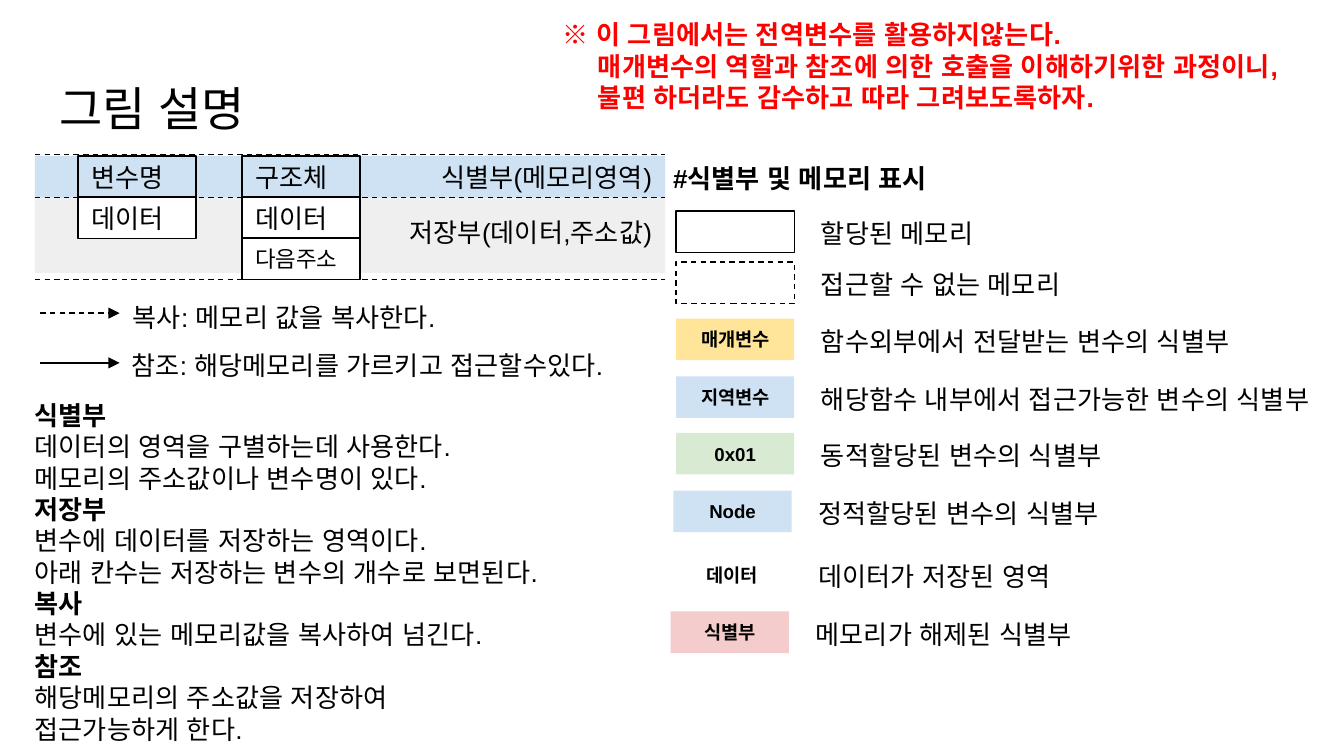
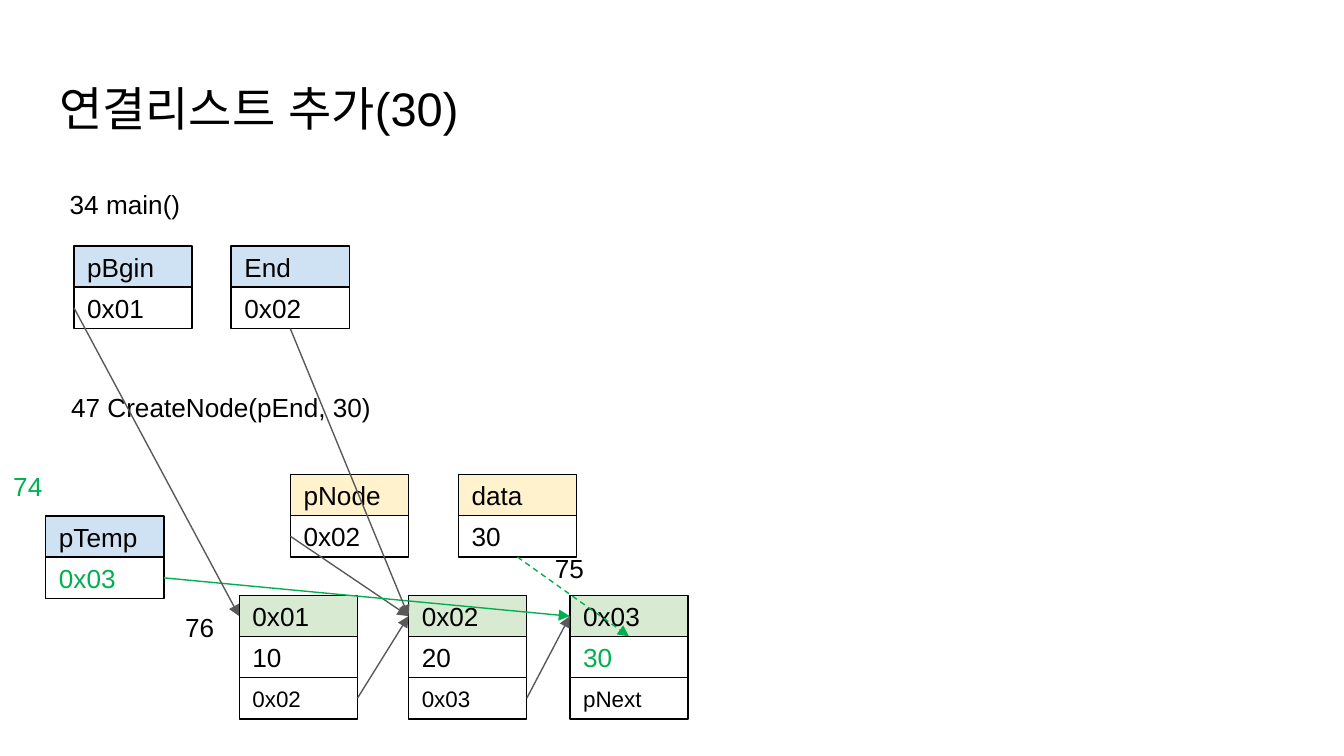
from copy import deepcopy

from lxml import etree
from pptx import Presentation
from pptx.dml.color import RGBColor
from pptx.enum import dml, shapes, text
from pptx.oxml import ns
from pptx.util import Inches, Pt

BLACK = RGBColor(0x00, 0x00, 0x00)
WHITE = RGBColor(0xFF, 0xFF, 0xFF)
RED = RGBColor(0xFF, 0x00, 0x00)
GREEN = RGBColor(0x00, 0xB0, 0x50)
GREY = RGBColor(0x59, 0x59, 0x59)
STORE_GREY = RGBColor(0xEF, 0xEF, 0xEF)
LOCAL_BLUE = RGBColor(0xCF, 0xE2, 0xF3)
PARAM_YELLOW = RGBColor(0xFF, 0xE5, 0x99)
ARG_YELLOW = RGBColor(0xFF, 0xF2, 0xCC)
HEAP_GREEN = RGBColor(0xD9, 0xEA, 0xD3)
FREED_PINK = RGBColor(0xF4, 0xCC, 0xCC)

FONT = "Arial"
CELL_W, CELL_H = 0.88, 0.31
CELL_PITCH = 0.61 / 2
TOP, LEFT, BOTTOM, RIGHT = range(4)
FRAME_FORMAT = {
    "word_wrap": True, "auto_size": text.MSO_AUTO_SIZE.NONE,
    "margin_left": Inches(0.1), "margin_right": Inches(0.1),
    "margin_top": Inches(0.1), "margin_bottom": Inches(0.1),
}


# Shared parts
def apply(target, values):
    for name, value in values.items():
        setattr(target, name, value)


def write(frame, paragraphs, size=14, color=BLACK, bold=False,
          align=text.PP_ALIGN.LEFT, anchor=text.MSO_ANCHOR.TOP):
    """Fill a frame; a paragraph is a string or a (string, bold) pair."""
    apply(frame, {**FRAME_FORMAT, "vertical_anchor": anchor})
    for i, item in enumerate(paragraphs):
        words, strong = item if isinstance(item, tuple) else (item, bold)
        para = frame.paragraphs[0] if i == 0 else frame.add_paragraph()
        para.text = words
        para.alignment = align
        for run in para.runs:
            apply(run.font, {"name": FONT, "size": Pt(size), "bold": strong})
            run.font.color.rgb = color
            etree.SubElement(run.font._element, ns.qn("a:ea"), typeface=FONT)
        for line_break in para._p.findall(ns.qn("a:br")):
            line_break.append(deepcopy(para.runs[0].font._element))


def add_label(slide, left, top, width, height, *paragraphs, **style):
    box = slide.shapes.add_textbox(*map(Inches, (left, top, width, height)))
    write(box.text_frame, paragraphs, **style)
    return box


def set_line(line, color, dashed=False):
    line.color.rgb = color
    line.width = Pt(0.75)
    if dashed:
        line.dash_style = dml.MSO_LINE.DASH


def add_rect(slide, left, top, width, height, fill=None, words=None,
             outline=None, dashed=False, **style):
    rect = slide.shapes.add_shape(shapes.MSO_SHAPE.RECTANGLE,
                                  *map(Inches, (left, top, width, height)))
    rect.shadow.inherit = False
    if fill is None:
        rect.fill.background()
    else:
        rect.fill.solid()
        rect.fill.fore_color.rgb = fill
    if outline is None:
        rect.line.fill.background()
    else:
        set_line(rect.line, outline, dashed)
    if words:
        write(rect.text_frame, [words], anchor=text.MSO_ANCHOR.MIDDLE, **style)
    return rect


def add_line(slide, start=(0, 0), end=(0, 0), color=BLACK, dashed=False, arrow=False):
    line = slide.shapes.add_connector(shapes.MSO_CONNECTOR.STRAIGHT,
                                      *map(Inches, (*start, *end)))
    set_line(line.line, color, dashed)
    if arrow:
        etree.SubElement(line.line._get_or_add_ln(), ns.qn("a:tailEnd"), type="triangle")
    etree.SubElement(line._element.spPr, ns.qn("a:effectLst"))
    return line


def add_stack(slide, left, top, head_fill, *cells, value_color=BLACK):
    """Identifier cell, value cell and, for a node, a next-address cell."""
    formats = [(head_fill, BLACK, 14), (WHITE, value_color, 14), (WHITE, BLACK, 12)]
    return [add_rect(slide, left, top + i * CELL_PITCH, CELL_W, CELL_H, fill, words,
                     outline=BLACK, color=color, size=size)
            for i, (words, (fill, color, size)) in enumerate(zip(cells, formats))]


def add_titled_slide(prs, words, width):
    slide = prs.slides.add_slide(prs.slide_layouts[5])
    title = slide.shapes.title
    apply(title, {"left": Inches(0.34), "top": Inches(0.49),
                  "width": Inches(width), "height": Inches(0.63)})
    write(title.text_frame, [words], size=25.2)
    return slide


# Slide 1: how to read the diagrams
def draw_memory_model(slide, left, top, width):
    right_text = {"align": text.PP_ALIGN.RIGHT}
    add_rect(slide, left, top + 0.27, width, 0.61, STORE_GREY,
             "저장부(데이터,주소값)", **right_text)
    add_rect(slide, left, top + 0.01, width, CELL_H, LOCAL_BLUE,
             "식별부(메모리영역)", **right_text)
    add_stack(slide, left + 0.32, top + 0.01, LOCAL_BLUE, "변수명", "데이터")
    add_stack(slide, left + 1.54, top + 0.01, LOCAL_BLUE, "구조체", "데이터", "다음주소")
    for offset in (0, 0.32, 0.93):
        add_line(slide, (left, top + offset), (left + width, top + offset), dashed=True)


def draw_arrow_key(slide, left, top):
    # meaning, dashed arrow, label offset and size
    rows = [("복사: 메모리 값을 복사한다.", True, 0.59, -0.19, 2.76, 0.22),
            ("참조: 해당메모리를 가르키고 접근할수있다.", False, 0.58, -0.2, 4.03, 0.4)]
    for i, (meaning, dashed, dx, dy, width, height) in enumerate(rows):
        y = top + i * 0.37
        add_line(slide, (left, y), (left + 0.59, y), dashed=dashed, arrow=True)
        add_label(slide, left + dx, y + dy, width, height, meaning)


def draw_glossary(slide, left, top):
    add_label(slide, left, top, 4.47, 2.67,
              ("식별부", True),
              "데이터의 영역을 구별하는데 사용한다.\v메모리의 주소값이나 변수명이 있다.",
              ("저장부", True),
              "변수에 데이터를 저장하는 영역이다.",
              "아래 칸수는 저장하는 변수의 개수로 보면된다.",
              ("복사", True),
              "변수에 있는 메모리값을 복사하여 넘긴다.",
              ("참조", True),
              "해당메모리의 주소값을 저장하여 \v접근가능하게 한다.")


def draw_memory_key(slide, left, top):
    add_label(slide, left - 0.12, top - 0.46, 4.89, 0.44, "#식별부 및 메모리 표시", bold=True)
    # x offset, y offset, swatch text, swatch format, label width, meaning
    rows = [
        (0, 0, None, {"outline": BLACK}, 3.35, "할당된 메모리"),
        (0, 0.38, None, {"outline": BLACK, "dashed": True}, 3.35, "접근할 수 없는 메모리"),
        (0, 0.8, "매개변수", {"fill": PARAM_YELLOW}, 3.99,
         "함수외부에서 전달받는 변수의 식별부"),
        (0, 1.23, "지역변수", {"fill": LOCAL_BLUE}, 3.99,
         "해당함수 내부에서 접근가능한 변수의 식별부"),
        (0, 1.65, "0x01", {"fill": HEAP_GREEN}, 3.35, "동적할당된 변수의 식별부"),
        (-0.02, 2.08, "Node", {"fill": LOCAL_BLUE}, 3.35, "정적할당된 변수의 식별부"),
        (-0.02, 2.55, "데이터", {"fill": WHITE}, 3.35, "데이터가 저장된 영역"),
        (-0.04, 2.98, "식별부", {"fill": FREED_PINK}, 3.35, "메모리가 해제된 식별부"),
    ]
    for dx, dy, name, swatch, width, meaning in rows:
        x, y = left + dx, top + dy
        add_rect(slide, x, y, CELL_W, CELL_H, words=name, size=10, bold=True,
                 align=text.PP_ALIGN.CENTER, **swatch)
        add_label(slide, x + 0.98, y - 0.05, width, 0.4, meaning)


def draw_notice(slide, left, top):
    notice = add_label(slide, left, top, 5.91, 0.92,
                       "※ 이 그림에서는 전역변수를 활용하지않는다. \v"
                       "매개변수의 역할과 참조에 의한 호출을 이해하기위한 과정이니,\v"
                       "불편 하더라도 감수하고 따라 그려보도록하자.",
                       color=RED, bold=True)
    hanging = notice.text_frame.paragraphs[0]._p.get_or_add_pPr()
    hanging.set("marL", str(Inches(0.26)))
    hanging.set("indent", str(-Inches(0.26)))


def build_guide(prs):
    slide = add_titled_slide(prs, "그림 설명", 5.09)
    draw_memory_model(slide, 0.26, 1.15, 4.69)
    draw_arrow_key(slide, 0.3, 2.33)
    draw_memory_key(slide, 5.03, 1.57)
    draw_glossary(slide, 0.16, 2.87)
    draw_notice(slide, 4.09, 0.04)


# Slide 2: adding 30 to the linked list
def draw_main(slide, left, top):
    add_label(slide, left, top, 5.49, 0.44, "34 main()")
    begin = add_stack(slide, left + 0.13, top + 0.53, LOCAL_BLUE, "pBgin", "0x01")
    end = add_stack(slide, left + 1.3, top + 0.53, LOCAL_BLUE, "End", "0x02")
    return begin, end


def draw_create_node(slide, left, top):
    add_label(slide, left, top, 5.49, 0.44, "47 CreateNode(pEnd, 30)")
    node = add_stack(slide, left + 1.73, top + 0.72, ARG_YELLOW, "pNode", "0x02")
    data = add_stack(slide, left + 2.98, top + 0.72, ARG_YELLOW, "data", "30")
    temp = add_stack(slide, left - 0.09, top + 1.03, LOCAL_BLUE, "pTemp", "0x03",
                     value_color=GREEN)
    return node, data, temp


def draw_nodes(slide, left, top):
    nodes = [(0, BLACK, "0x01", "10", "0x02"),
             (1.26, BLACK, "0x02", "20", "0x03"),
             (2.46, GREEN, "0x03", "30", "pNext")]
    return [add_stack(slide, left + dx, top, HEAP_GREEN, *cells, value_color=color)
            for dx, color, *cells in nodes]


def build_append(prs):
    slide = add_titled_slide(prs, "연결리스트 추가(30)", 9.32)
    begin, end = draw_main(slide, 0.42, 1.3)
    node, data, temp = draw_create_node(slide, 0.43, 2.81)
    first, second, third = draw_nodes(slide, 1.78, 4.43)

    # References and the copied value
    links = [
        (node[1], LEFT, second[0], LEFT, GREY, False),
        (temp[1], RIGHT, third[0], LEFT, GREEN, False),
        (first[2], RIGHT, second[0], LEFT, GREY, False),
        (second[2], RIGHT, third[0], LEFT, GREY, False),
        (end[1], BOTTOM, second[0], LEFT, GREY, False),
        (begin[1], LEFT, first[0], LEFT, GREY, False),
        (data[1], BOTTOM, third[1], TOP, GREEN, True),
    ]
    for source, source_side, target, target_side, color, dashed in links:
        link = add_line(slide, color=color, dashed=dashed, arrow=True)
        link.begin_connect(source, source_side)
        link.end_connect(target, target_side)

    # Code line numbers
    for left, top, width, number, color in [(0, 3.4, 0.71, "74", GREEN),
                                            (4.03, 4.01, 0.44, "75", BLACK),
                                            (1.28, 4.45, 0.44, "76", BLACK)]:
        add_label(slide, left, top, width, 0.44, number, color=color)


def main():
    prs = Presentation()
    prs.slide_width = Inches(10)
    prs.slide_height = Inches(10) * 9 // 16
    build_guide(prs)
    build_append(prs)
    prs.save("out.pptx")


if __name__ == "__main__":
    main()
